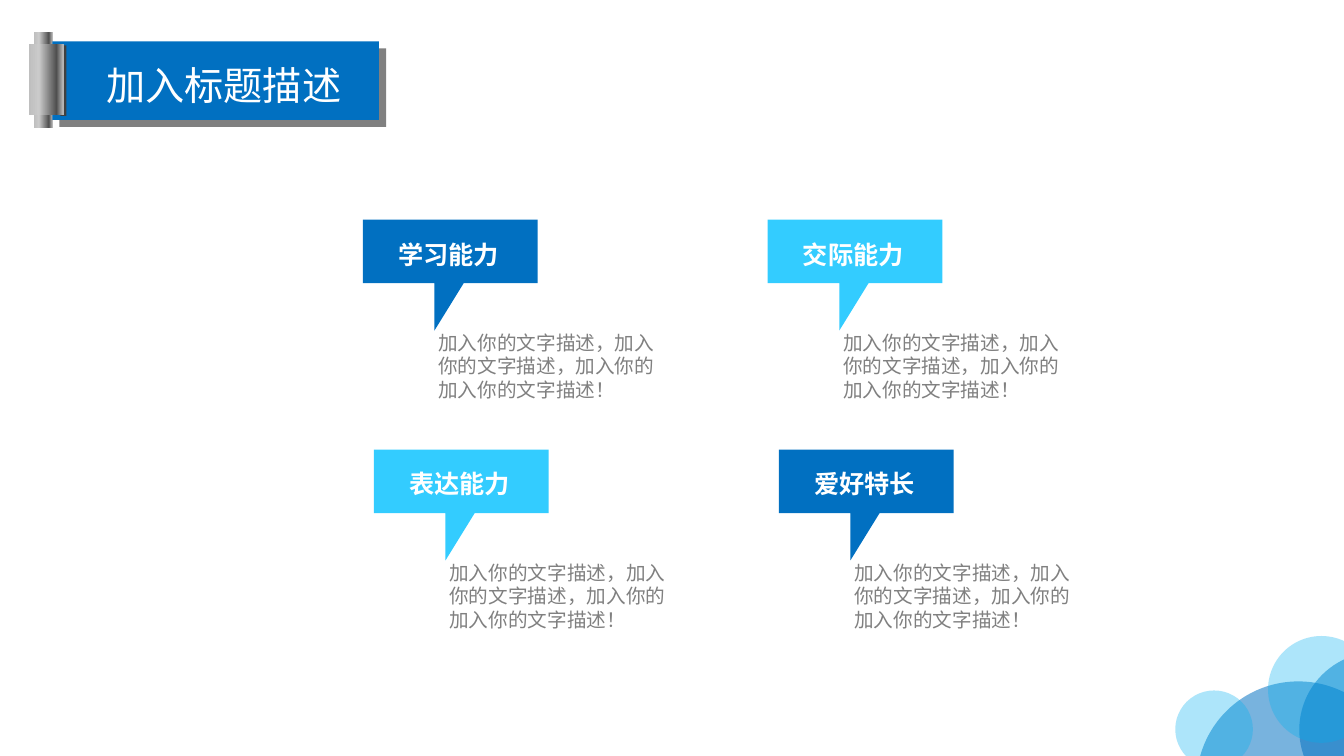
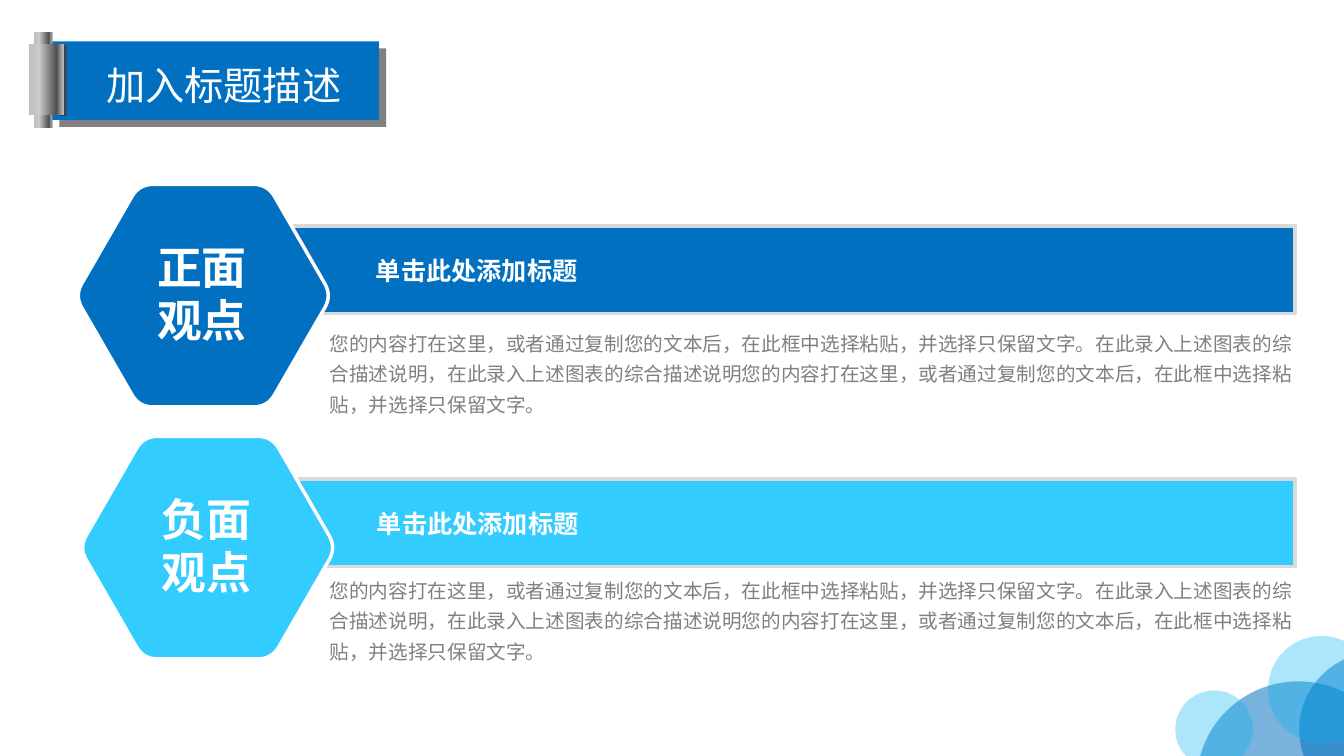
from dataclasses import dataclass
from math import cos, pi, sin

from lxml.etree import SubElement
from pptx import Presentation
from pptx.dml.color import RGBColor as RGB
from pptx.enum.shapes import MSO_SHAPE as SHAPE
from pptx.enum.text import PP_ALIGN as ALIGN
from pptx.oxml.ns import qn
from pptx.util import Inches, Pt


@dataclass(frozen=True)
class Theme:
    blue: str = "0170C1"
    sky: str = "33CCFF"
    bubble: str = "00B0F0"
    white: str = "FFFFFF"
    grey: str = "808080"
    dark: str = "404040"
    rim: str = "D9D9D9"
    metal: tuple = ((0, "BFBFBF"), (29, "CACACA"), (80, "4F4F4F"), (100, "BFBFBF"))
    font: str = "Noto Sans CJK SC"
    display: str = "League Spartan"
    title: int = 28
    badge: int = 32
    heading: int = 18
    body: int = 14
    rule: float = 2.5


theme = Theme()
deck = Presentation()
deck.slide_width, deck.slide_height = Inches(40 / 3), Inches(7.5)
cell = deck.slide_width / 160


def paint(shape, color, alpha=None, edge=None):
    shape.shadow.inherit = False
    if isinstance(color, tuple):
        shape.fill.gradient()
        shape.fill.gradient_angle = 0
        stops = shape._element.spPr.find(".//" + qn("a:gsLst"))
        stops[:] = []
        for place, tone in color:
            stop = SubElement(stops, qn("a:gs"), pos=str(place * 1000))
            SubElement(stop, qn("a:srgbClr"), val=tone)
    else:
        shape.fill.solid()
        shape.fill.fore_color.rgb = RGB.from_string(color)
    if alpha:
        tint = shape._element.spPr.find(".//" + qn("a:srgbClr"))
        SubElement(tint, qn("a:alpha"), val=str(alpha * 1000))
    if edge:
        shape.line.color.rgb = RGB.from_string(edge)
        shape.line.width = Pt(theme.rule)
    else:
        shape.line.fill.background()


def write(slide, box, lines, size, color, bold=False, align=ALIGN.LEFT,
          inset=(0.07, 0.04), leading=1.2, font=theme.font):
    frame = slide.shapes.add_textbox(*(round(n * cell) for n in box)).text_frame
    frame.word_wrap = True
    frame.margin_left = frame.margin_right = Inches(inset[0])
    frame.margin_top = frame.margin_bottom = Inches(inset[1])
    frame.text = "\n".join(lines)
    for paragraph in frame.paragraphs:
        paragraph.alignment = align
        paragraph.line_spacing = Pt(round(size * leading, 1))
        paragraph.font.size = Pt(size)
        paragraph.font.bold = bold
        paragraph.font.color.rgb = RGB.from_string(color)
        paragraph.font.name = font
        SubElement(paragraph._p.pPr.find(qn("a:defRPr")), qn("a:ea"), typeface=theme.font)


bubbles = [
    (142.44, 81.12, 24.24, theme.blue, 53),
    (154.68, 77.64, 18.48, theme.blue, 53),
    (150.96, 75.72, 12.72, theme.bubble, 32),
    (139.92, 82.2, 9.24, theme.bubble, 32),
]
scroll = [
    ((4, 3.84, 2.28, 11.4), theme.metal),
    ((7.08, 5.76, 38.88, 9.36), theme.grey),
    ((6.24, 4.92, 38.88, 9.36), theme.blue),
    ((7.2, 5.4, 0.72, 8.4), theme.dark),
    ((3.48, 5.28, 4.08, 8.4), theme.metal),
]

slides = [deck.slides.add_slide(deck.slide_layouts[6]) for _ in range(2)]
for slide in slides:
    for left, top, size, color, alpha in bubbles:
        bubble = slide.shapes.add_shape(
            SHAPE.OVAL, *(round(n * cell) for n in (left, top, size, size)))
        paint(bubble, color, alpha)
    banner = slide.shapes.add_group_shape()
    for box, color in scroll:
        piece = banner.shapes.add_shape(SHAPE.RECTANGLE, *(round(n * cell) for n in box))
        paint(piece, color)
    write(slide, (6.84, 6.84, 39.6, 6.6), ["加入标题描述"], theme.title, theme.white,
          align=ALIGN.CENTER)

skills_slide, views_slide = slides

skills = [["学习能力", "交际能力"], ["表达能力", "爱好特长"]]
skill_text = ["加入你的文字描述，加入你的文字描述，加入你的", "加入你的文字描述！"]
callout = [(0, 0), (20.8, 0), (20.8, 7.56), (12, 7.56), (8.52, 13.2), (8.52, 7.56), (0, 7.56)]
for row, names in enumerate(skills):
    for col, name in enumerate(names):
        left = 43.2 + 48.2 * col + 1.32 * row
        top = 26.16 + 27.36 * row
        points = [(round((left + x) * cell), round((top + y) * cell)) for x, y in callout]
        outline = skills_slide.shapes.build_freeform(*points[0])
        outline.add_line_segments(points[1:])
        paint(outline.convert_to_shape(), theme.sky if (row + col) % 2 else theme.blue)
        write(skills_slide, (left - 0.36, top + 2.28, 21.12, 3.36), [name], theme.heading,
              theme.white, True, ALIGN.CENTER, (0.1, 0))
        write(skills_slide, (left + 7.8, top + 13.2, 30, 6.6), skill_text, theme.body,
              theme.grey, inset=(0.1, 0))

view_text = ("您的内容打在这里，或者通过复制您的文本后，在此框中选择粘贴，并选择只保留文字。"
             "在此录入上述图表的综合描述说明，在此录入上述图表的综合描述说明"
             "您的内容打在这里，或者通过复制您的文本后，在此框中选择粘贴，并选择只保留文字。")
views = [
    ("正面", theme.blue, 24.2, 35.2, 26.88, 43.56, 38.16),
    ("负面", theme.sky, 24.72, 65.2, 57, 43.68, 67.56),
]
radius, cut, steps = 15.3, 0.11, 8
corners = [(radius * cos(k * pi / 3), radius * sin(k * pi / 3)) for k in range(6)]
hexagon = []
for k, corner in enumerate(corners):
    before, after = corners[k - 1], corners[(k + 1) % 6]
    for step in range(steps + 1):
        t = step / steps
        hexagon.append([c + cut * ((1 - t) ** 2 * (b - c) + t ** 2 * (a - c))
                        for b, c, a in zip(before, corner, after)])

for side, color, center_x, center_y, bar_top, heading_left, text_top in views:
    bar = views_slide.shapes.add_shape(
        SHAPE.RECTANGLE, *(round(n * cell) for n in (27.6, bar_top, 126.6, 10.44)))
    paint(bar, color, edge=theme.rim)
    write(views_slide, (heading_left, bar_top + 2.94, 93, 4.8), ["单击此处添加标题"],
          theme.heading, theme.white, True, inset=(0.1, 0.05))
    write(views_slide, (38.4, text_top, 117, 11.88), [view_text], theme.body, theme.grey,
          leading=1.56)
    points = [(round((center_x + x) * cell), round((center_y + y) * cell)) for x, y in hexagon]
    outline = views_slide.shapes.build_freeform(*points[0])
    outline.add_line_segments(points[1:])
    paint(outline.convert_to_shape(), color, edge=theme.white)
    write(views_slide, (center_x - 10.6, center_y - 7.2, 20.88, 13.8), [side, "观点"],
          theme.badge, theme.white, True, ALIGN.CENTER, font=theme.display)

deck.save("out.pptx")
